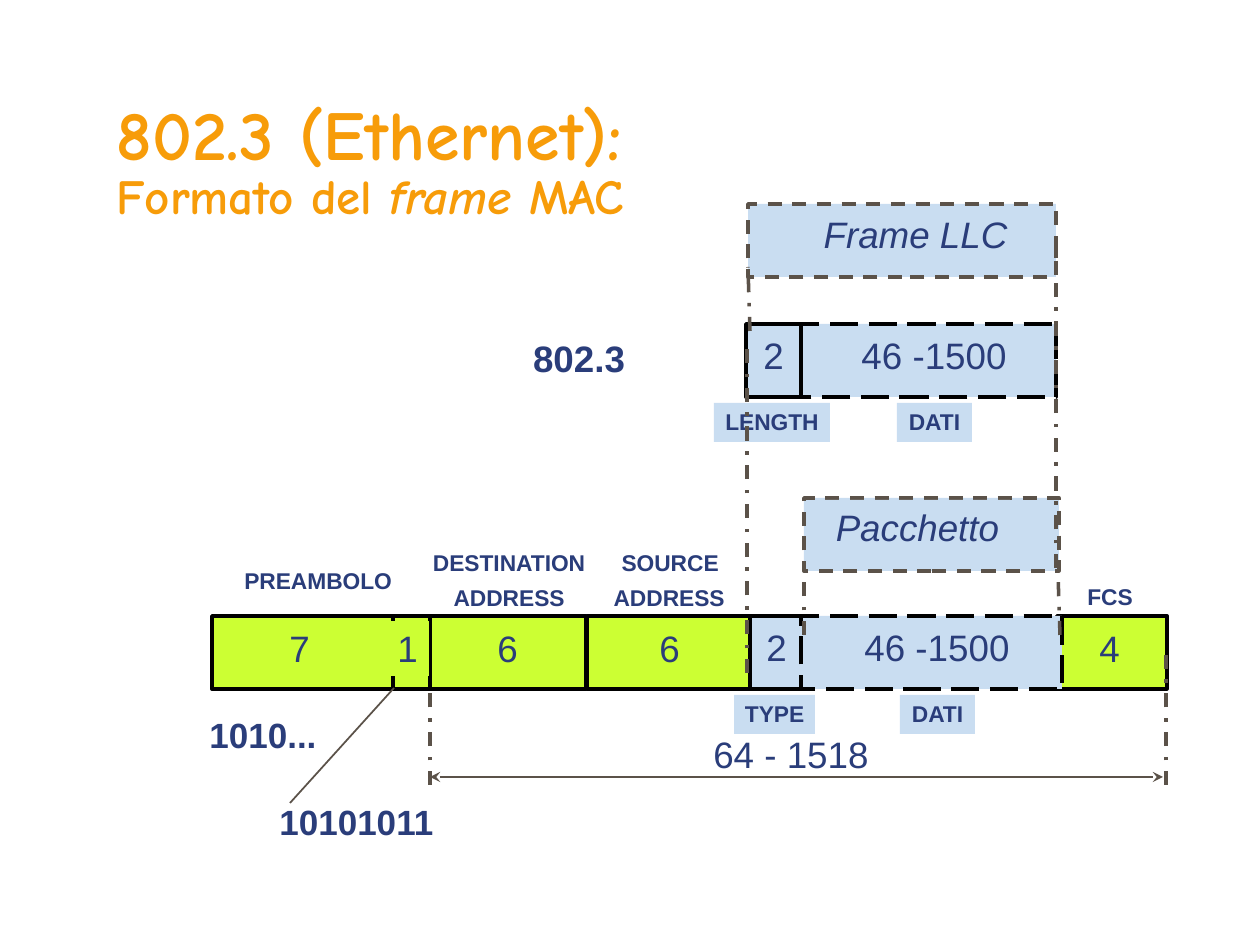
from lxml.etree import SubElement
from pptx import Presentation
from pptx.dml.color import RGBColor
from pptx.enum.dml import MSO_LINE as Dash
from pptx.enum.shapes import MSO_CONNECTOR as Link, MSO_SHAPE as Shape
from pptx.enum.text import MSO_ANCHOR as Anchor, MSO_AUTO_SIZE as Fit, PP_ALIGN as Align
from pptx.oxml.ns import qn
from pptx.util import Emu, Inches, Pt

LIME = RGBColor(0xCC, 0xFF, 0x33)
BLUE = RGBColor(0xC9, 0xDD, 0xF1)
NAVY = RGBColor(0x2A, 0x3D, 0x7A)
GOLD = RGBColor(0xF7, 0x9C, 0x09)
GREY = RGBColor(0x5B, 0x52, 0x49)
BLACK = RGBColor(0, 0, 0)

TITLE = [("802.3 (Ethernet):", 40, False), ("Formato del ", 28, False),
         ("frame", 28, True), (" MAC", 28, False)]

# Frame fields, back to front: left, top, width, fill, line, dash
ROW, TOP, LLC, PACK = 616, 324, 204, 498
FIELD_H = 73
FIELDS = [
    (212, ROW, 185, LIME, BLACK, None),
    (393, ROW, 38, LIME, BLACK, None),
    (430, ROW, 156, LIME, BLACK, None),
    (587, ROW, 163, LIME, BLACK, None),
    (1057, ROW, 110, LIME, BLACK, None),
    (750, ROW, 55, BLUE, BLACK, None),
    (801, ROW, 261, BLUE, BLACK, Dash.LONG_DASH),
    (804, PACK, 255, BLUE, GREY, Dash.DASH),
    (799, TOP, 257, BLUE, BLACK, Dash.LONG_DASH),
    (746, TOP, 55, BLUE, BLACK, None),
    (748, LLC, 308, BLUE, GREY, Dash.DASH),
]

# Text styles: size, bold, italic, box height
VALUE = (21, False, False, 55)
NAME = (21, False, True, 55)
HEAD = (21, True, False, 55)
BITS = (20, True, False, 53)
TAG = (13, True, False, 39)

# Labels: text, left, top, width, style, fill
LABELS = [
    ("7", 278, 621, 43, VALUE, None),
    ("1", 386, 621, 43, VALUE, LIME),
    ("6", 486, 621, 43, VALUE, None),
    ("6", 648, 621, 43, VALUE, LIME),
    ("4", 1088, 621, 43, VALUE, None),
    ("2", 755, 620, 43, VALUE, BLUE),
    ("46 -1500", 853, 620, 168, VALUE, BLUE),
    ("2", 752, 328, 43, VALUE, BLUE),
    ("46 -1500", 850, 328, 168, VALUE, BLUE),
    ("Pacchetto", 825, 500, 185, NAME, BLUE),
    ("Frame LLC", 812, 207, 207, NAME, BLUE),
    ("64 - 1518", 702, 727, 178, VALUE, None),
    ("802.3", 499, 331, 160, HEAD, None),
    ("1010...", 198, 708, 130, BITS, None),
    ("10101011", 267, 795, 179, BITS, None),
    ("PREAMBOLO", 233, 562, 170, TAG, None),
    ("DESTINATION", 421, 544, 176, TAG, None),
    ("ADDRESS", 442, 579, 134, TAG, None),
    ("SOURCE", 610, 544, 120, TAG, None),
    ("ADDRESS", 602, 579, 134, TAG, None),
    ("FCS", 1076, 578, 68, TAG, None),
    ("TYPE", 734, 695, 81, TAG, BLUE),
    ("DATI", 900, 695, 75, TAG, BLUE),
    ("LENGTH", 714, 403, 116, TAG, BLUE),
    ("DATI", 897, 403, 75, TAG, BLUE),
]

GUIDES = [  # dash-dot lines: x1, y1, x2, y2
    (430, 785, 430, 688), (1166, 785, 1166, 646),
    (1060, 635, 1058, 572), (804, 635, 804, 572),
    (750, 331, 748, 267), (747, 673, 747, 347), (1056, 568, 1056, 239),
]
POINTER = (394, 688, 290, 803)
SPAN = (430, 777, 1163, 777)


def px(*nums):
    return [Emu(round(n * 914400 / 126)) for n in nums]


def add_field(left, top, width, fill, color, dash):
    box = slide.shapes.add_shape(Shape.RECTANGLE, *px(left, top, width, FIELD_H))
    box.shadow.inherit = False
    box.fill.solid()
    box.fill.fore_color.rgb = fill
    box.line.color.rgb = color
    box.line.width = Pt(2)
    if dash:
        box.line.dash_style = dash


def add_frame(left, top, width, height, side):
    """Add a text box with the given side inset; return it and its text frame."""
    box = slide.shapes.add_textbox(*px(left, top, width, height))
    frame = box.text_frame
    frame.margin_left = frame.margin_right = Inches(side)
    frame.margin_top = frame.margin_bottom = Inches(0.04)
    return box, frame


def add_run(para, text, face, size, color, bold, italic):
    run = para.add_run()
    run.text = text
    font = run.font
    font.name, font.size = face, Pt(size)
    font.bold, font.italic = bold, italic
    font.color.rgb = color


def add_label(text, left, top, width, style, fill):
    """Add centred one-line text; the slim inset leaves room against wrapping."""
    size, bold, italic, height = style
    box, frame = add_frame(left, top, width, height, 0.04)
    frame.word_wrap = False
    frame.auto_size = Fit.NONE
    if fill:
        box.fill.solid()
        box.fill.fore_color.rgb = fill
    para = frame.paragraphs[0]
    para.alignment = Align.CENTER
    add_run(para, text, "Arial", size, NAVY, bold, italic)


def add_line(ends, width, dash=None, arrows=False):
    line = slide.shapes.add_connector(Link.STRAIGHT, *px(*ends))
    line.line.color.rgb = GREY
    line.line.width = Pt(width)
    if dash:
        line.line.dash_style = dash
    if arrows:
        for tag in ("a:headEnd", "a:tailEnd"):
            SubElement(line.line._get_or_add_ln(), qn(tag), type="stealth")
    SubElement(line._element.spPr, qn("a:effectLst"))


def add_title():
    frame = add_frame(105, 96, 1079, 136, 0.09)[1]
    frame.word_wrap = True
    frame.vertical_anchor = Anchor.MIDDLE
    para = frame.paragraphs[0]
    para.line_spacing = 0.85
    for i, (text, size, italic) in enumerate(TITLE):
        if i == 1:
            para.add_line_break()
        add_run(para, text, "Comic Neue", size, GOLD, True, italic)


deck = Presentation()
deck.slide_width, deck.slide_height = px(1260, 945)
slide = deck.slides.add_slide(deck.slide_layouts[6])

add_title()
for field in FIELDS:
    add_field(*field)
for label in LABELS:
    add_label(*label)
for guide in GUIDES:
    add_line(guide, 2, Dash.DASH_DOT)
add_line(POINTER, 1)
add_line(SPAN, 1, arrows=True)

deck.save("out.pptx")
